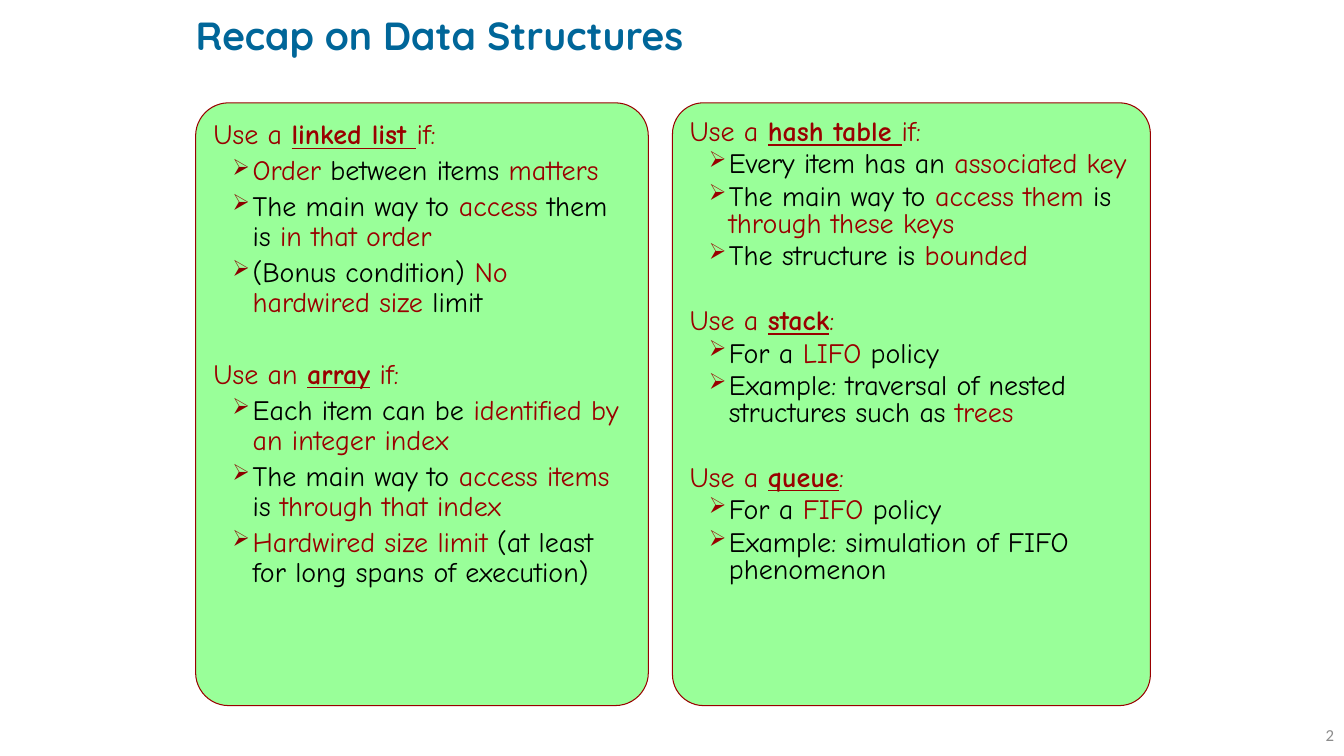
"""Build the recap slide on when to use each data structure."""
from dataclasses import dataclass

import lxml.etree
import pptx
import pptx.dml.color
import pptx.enum.shapes
import pptx.enum.text
import pptx.oxml.ns
import pptx.util

Inches = pptx.util.Inches
Pt = pptx.util.Pt
RGB = pptx.dml.color.RGBColor
Align = pptx.enum.text.PP_ALIGN
Anchor = pptx.enum.text.MSO_ANCHOR


@dataclass(frozen=True)
class Theme:
    title_font: str = "Quicksand"
    body_font: str = "Comic Neue"
    number_font: str = "Calibri"
    title_size: int = 28
    body_size: int = 20
    number_size: int = 12
    title: str = "006699"
    panel: str = "99FF99"
    accent: str = "990000"
    ink: str = "000000"
    number: str = "8C8C8C"


@dataclass(frozen=True)
class Topic:
    """A heading with its structure name, and points with *accented* words."""
    lead: str
    structure: str
    tail: str
    points: tuple[str, ...]


@dataclass(frozen=True)
class Panel:
    left: float
    width: float
    corner: float
    line_spacing: float
    topic_gap: float
    bullet_color: str
    topics: tuple[Topic, ...]


THEME = Theme()
PANEL_TOP, PANEL_HEIGHT = 1.02, 5.98
POINT_GAP = 4

PANELS = (
    Panel(1.94, 4.49, 0.073, 0.9, 29.5, "8B0000", (
        Topic("Use a ", "linked list ", "if:", (
            "*Order* between items *matters*",
            "The main way to *access* them is *in that order*",
            "(Bonus condition) *No hardwired size* limit",
        )),
        Topic("Use an ", "array", " if:", (
            "Each item can be *identified by an integer index*",
            "The main way to *access items* is *through that index*",
            "*Hardwired size limit *(at least for long spans of execution)",
        )),
    )),
    Panel(6.67, 4.74, 0.065, 0.8, 27, "990000", (
        Topic("Use a ", "hash table ", "if:", (
            "Every item has an *associated key*",
            "The main way to *access them *is *through these keys*",
            "The structure is *bounded*",
        )),
        Topic("Use a ", "stack", ":", (
            "For a *LIFO* policy",
            "Example: traversal of nested structures such as *trees*",
        )),
        Topic("Use a ", "queue", ":", (
            "For a *FIFO* policy",
            "Example: simulation of FIFO phenomenon",
        )),
    )),
)


def set_font(font, name: str, size: int, color: str) -> None:
    font.name = name
    font.size = Pt(size)
    font.color.rgb = RGB.from_string(color)


def set_margins(frame, margin: float) -> None:
    frame.margin_left = frame.margin_right = Inches(margin)
    frame.margin_top = frame.margin_bottom = Inches(margin)


def add_bullet(paragraph, color: str) -> None:
    qn = pptx.oxml.ns.qn
    properties = paragraph._p.get_or_add_pPr()
    properties.set("marL", str(Inches(0.39)))
    properties.set("indent", str(Inches(-0.2)))
    bullet_color = lxml.etree.SubElement(properties, qn("a:buClr"))
    lxml.etree.SubElement(bullet_color, qn("a:srgbClr"), val=color)
    lxml.etree.SubElement(properties, qn("a:buSzPct"), val="80000")
    lxml.etree.SubElement(properties, qn("a:buChar"), char="➢")


def write_heading(paragraph, topic: Topic) -> None:
    set_font(paragraph.font, THEME.body_font, THEME.body_size, THEME.accent)
    for words in (topic.lead, topic.structure, topic.tail):
        run = paragraph.add_run()
        run.text = words
        if words == topic.structure:
            run.font.bold = run.font.underline = True


def write_point(paragraph, point: str, bullet_color: str) -> None:
    paragraph.level = 1
    paragraph.space_before = Pt(POINT_GAP)
    add_bullet(paragraph, bullet_color)
    set_font(paragraph.font, THEME.body_font, THEME.body_size, THEME.ink)
    for position, words in enumerate(point.split("*")):
        if words:
            run = paragraph.add_run()
            run.text = words
            if position % 2:
                run.font.color.rgb = RGB.from_string(THEME.accent)


def draw_panel(slide, panel: Panel) -> None:
    card = slide.shapes.add_shape(
        pptx.enum.shapes.MSO_SHAPE.ROUNDED_RECTANGLE,
        Inches(panel.left), Inches(PANEL_TOP),
        Inches(panel.width), Inches(PANEL_HEIGHT))
    card.adjustments[0] = panel.corner
    card.shadow.inherit = False
    card.fill.solid()
    card.fill.fore_color.rgb = RGB.from_string(THEME.panel)
    card.line.color.rgb = RGB.from_string(THEME.accent)
    card.line.width = Pt(0.75)
    frame = card.text_frame
    frame.word_wrap = True
    frame.vertical_anchor = Anchor.TOP
    set_margins(frame, 0.08)
    for topic_index, topic in enumerate(panel.topics):
        heading = frame.add_paragraph() if topic_index else frame.paragraphs[0]
        if topic_index:
            heading.space_before = Pt(panel.topic_gap)
        write_heading(heading, topic)
        for point in topic.points:
            write_point(frame.add_paragraph(), point, panel.bullet_color)
    for paragraph in frame.paragraphs:
        paragraph.alignment = Align.LEFT
        paragraph.line_spacing = panel.line_spacing


def draw_title(slide, words: str) -> None:
    title = slide.shapes.title
    title.left, title.top = Inches(1.94), Inches(0.13)
    title.width, title.height = Inches(8.69), Inches(0.48)
    frame = title.text_frame
    frame.text = words
    frame.word_wrap = True
    frame.auto_size = pptx.enum.text.MSO_AUTO_SIZE.NONE
    frame.vertical_anchor = Anchor.MIDDLE
    set_margins(frame, 0)
    paragraph = frame.paragraphs[0]
    paragraph.alignment = Align.LEFT
    paragraph.line_spacing = 0.9
    set_font(paragraph.font, THEME.title_font, THEME.title_size, THEME.title)
    paragraph.font.bold = True


def draw_page_number(slide, number: str) -> None:
    page_number = slide.shapes.add_textbox(
        Inches(12.73), Inches(7.01), Inches(0.6), Inches(0.57))
    frame = page_number.text_frame
    frame.text = number
    frame.word_wrap = True
    frame.vertical_anchor = Anchor.MIDDLE
    set_margins(frame, 0.1)
    paragraph = frame.paragraphs[0]
    paragraph.alignment = Align.RIGHT
    set_font(paragraph.font, THEME.number_font, THEME.number_size, THEME.number)


def main() -> None:
    deck = pptx.Presentation()
    deck.slide_width, deck.slide_height = Inches(13.33), Inches(7.5)
    slide = deck.slides.add_slide(deck.slide_layouts[5])
    draw_title(slide, "Recap on Data Structures")
    for panel in PANELS:
        draw_panel(slide, panel)
    draw_page_number(slide, "2")
    deck.save("out.pptx")


if __name__ == "__main__":
    main()
